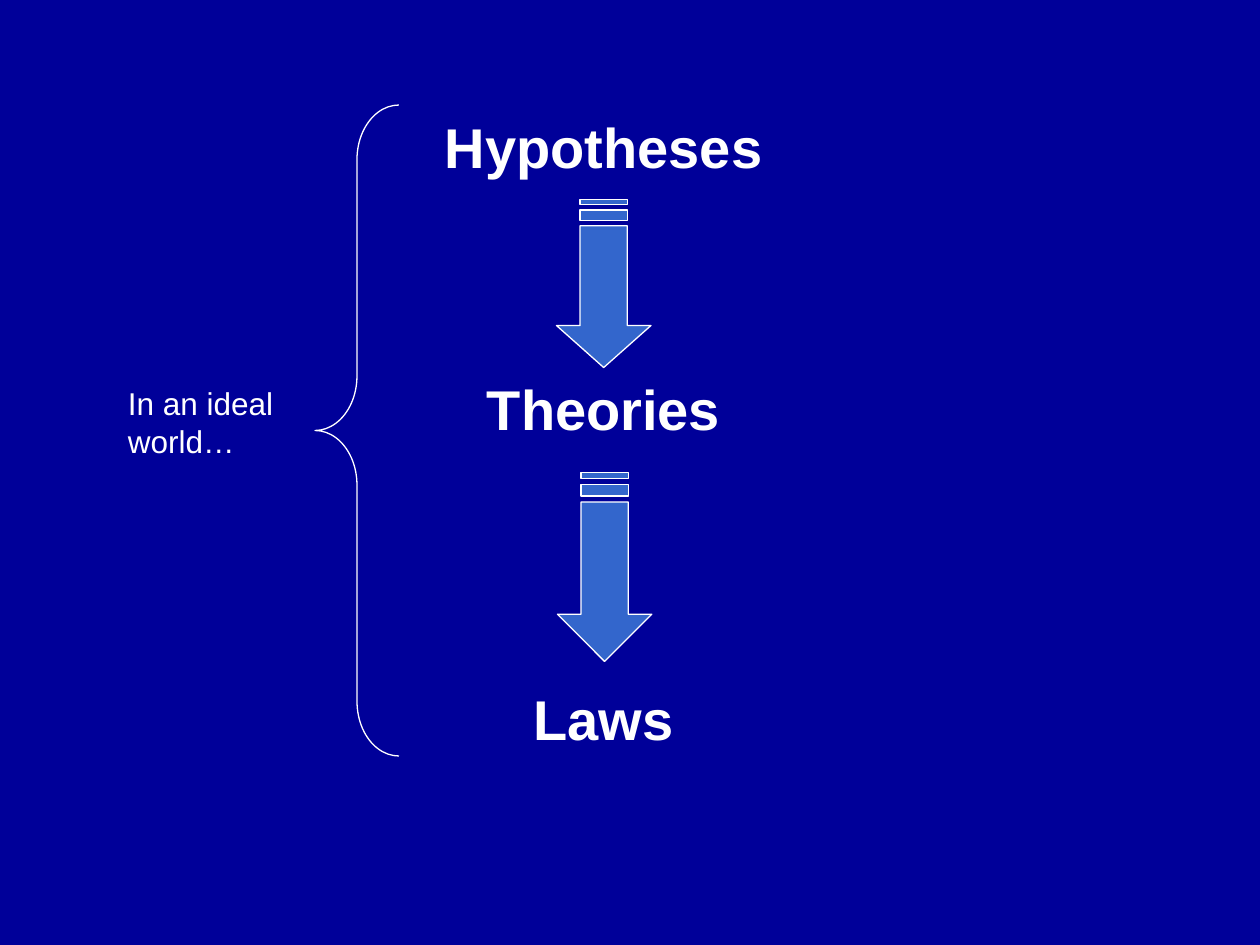
import pptx
import pptx.dml.color
import pptx.enum.shapes
import pptx.enum.text
import pptx.util

Pt = pptx.util.Pt
ALIGN = pptx.enum.text.PP_ALIGN


def color(value):
    return pptx.dml.color.RGBColor.from_string(value)


def write_text(frame, text, size, bold=False, align=ALIGN.LEFT, spacing=None):
    frame.word_wrap = True
    paragraph = frame.paragraphs[0]
    paragraph.alignment = align
    paragraph.line_spacing = spacing
    run = paragraph.add_run()
    run.text = text
    run.font.name = "Arial"
    run.font.size = Pt(size)
    run.font.bold = bold
    run.font.color.rgb = color(SlideBuilder.foreground)


class SlideBuilder:
    background = "000099"
    foreground = "FFFFFF"
    arrow_fill = "3366CC"
    line_width = 0.75

    def __init__(self, presentation):
        self.slide = presentation.slides.add_slide(presentation.slide_layouts[6])
        fill = self.slide.background.fill
        fill.solid()
        fill.fore_color.rgb = color(self.background)

    def outline(self, shape):
        shape.shadow.inherit = False
        shape.line.color.rgb = color(self.foreground)
        shape.line.width = Pt(self.line_width)

    def text(self, text, left, top, width, height, **text_format):
        shape = self.slide.shapes.add_textbox(Pt(left), Pt(top), Pt(width), Pt(height))
        write_text(shape.text_frame, text, **text_format)

    def striped_arrow(self, left, top, width, height):
        def points(*fractions):
            return [(Pt(left + x * width), Pt(top + y * height)) for x, y in fractions]

        def stripe(start, end):
            return points((0.75, start), (0.75, end), (0.25, end), (0.25, start))

        body = points((0.75, 5 / 32), (0.75, 0.75), (1, 0.75), (0.5, 1),
                      (0, 0.75), (0.25, 0.75), (0.25, 5 / 32))
        builder = self.slide.shapes.build_freeform(*body[0])
        builder.add_line_segments(body[1:])
        for contour in (stripe(0, 1 / 32), stripe(2 / 32, 4 / 32)):
            builder.move_to(*contour[0])
            builder.add_line_segments(contour[1:])
        shape = builder.convert_to_shape()
        shape.fill.solid()
        shape.fill.fore_color.rgb = color(self.arrow_fill)
        self.outline(shape)

    def left_brace(self, left, top, width, height, curve):
        shape = self.slide.shapes.add_shape(
            pptx.enum.shapes.MSO_SHAPE.LEFT_BRACE,
            Pt(left), Pt(top), Pt(width), Pt(height))
        shape.adjustments[0] = curve
        shape.fill.background()
        self.outline(shape)


def main():
    presentation = pptx.Presentation()
    presentation.slide_width = Pt(720)
    presentation.slide_height = Pt(540)
    builder = SlideBuilder(presentation)

    for stage, top in (("Hypotheses", 60), ("Theories", 210), ("Laws", 387)):
        builder.text(stage, 234, top, 222, 46, size=32, bold=True,
                     align=ALIGN.CENTER, spacing=Pt(39))
    for left, top, height in ((318, 114, 96), (318.5, 270, 108)):
        builder.striped_arrow(left, top, 54, height)
    builder.left_brace(180, 60, 48, 372, curve=0.65)
    builder.text("In an ideal world…", 66, 216, 126, 50.4, size=18, spacing=Pt(21.6))

    presentation.save("out.pptx")


if __name__ == "__main__":
    main()
